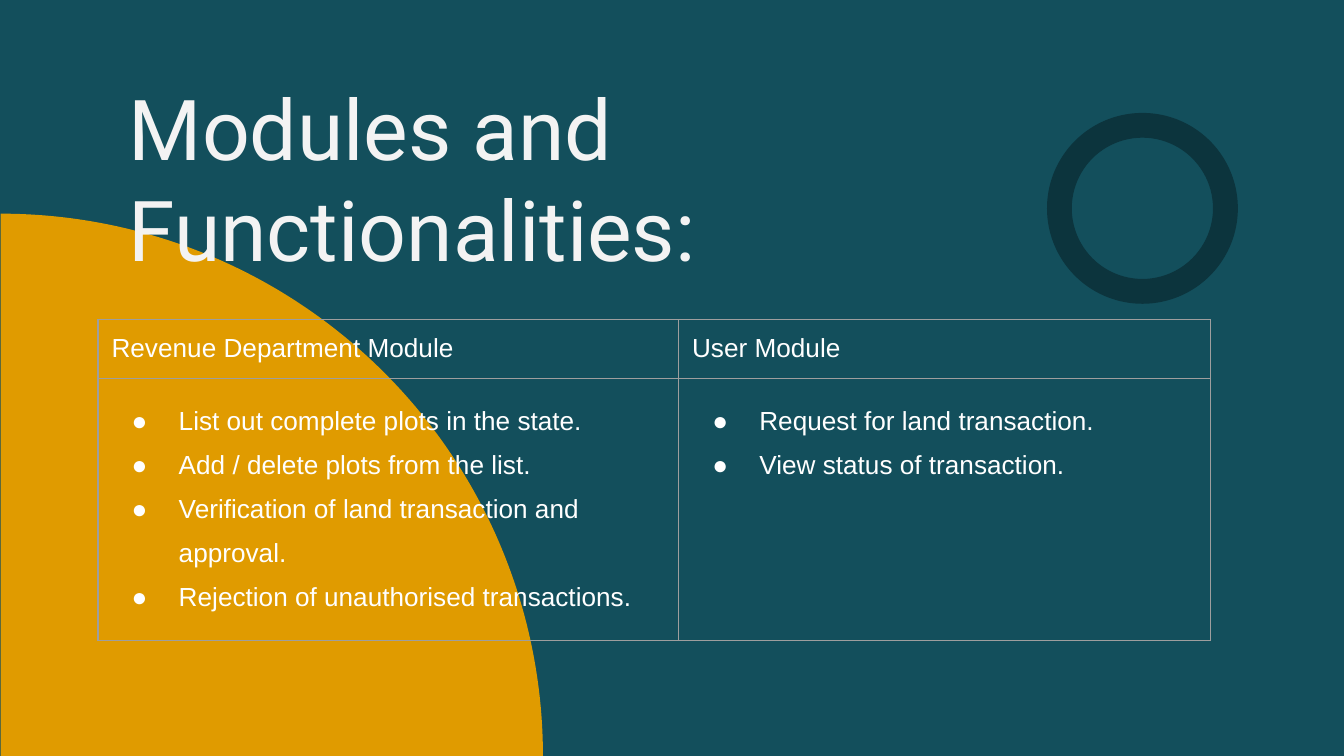
from lxml import etree
from pptx import Presentation
from pptx.dml.color import RGBColor
from pptx.enum import shapes, text
from pptx.oxml import ns
from pptx.util import Inches, Pt

COLORS = {
    "background": "134F5C",
    "sun": "E09B00",
    "ring": "0C343D",
    "title": "F3F3F3",
    "text": "FFFFFF",
    "border": "9E9E9E",
}
TITLE = "Modules and Functionalities:"
MODULES = [
    ("Revenue Department Module", [
        "List out complete plots in the state.",
        "Add / delete plots from the list.",
        "Verification of land transaction and approval.",
        "Rejection of unauthorised transactions.",
    ]),
    ("User Module", [
        "Request for land transaction.",
        "View status of transaction.",
    ]),
]
SLIDE_WIDTH = 10
COLUMN_WIDTHS = [4.32, 3.96]
ROW_COUNT = 2
ROW_HEIGHT = 0.42  # a minimum: rows grow with their text
MARGIN = Inches(0.1)


def color(name):
    return RGBColor.from_string(COLORS[name])


def add_child(parent, tag, **attributes):
    return etree.SubElement(parent, ns.qn(tag), attributes)


def add_color(parent, tag, name):
    add_child(add_child(parent, tag), "a:srgbClr", val=COLORS[name])


def add_decoration(page, kind, left, top, size, fill, adjustments, rotation=0):
    shape = page.shapes.add_shape(
        kind, Inches(left), Inches(top), Inches(size), Inches(size))
    shape.shadow.inherit = False
    shape.fill.solid()
    shape.fill.fore_color.rgb = color(fill)
    shape.line.fill.background()
    shape.rotation = rotation
    for index, value in enumerate(adjustments):
        shape.adjustments[index] = value


def add_span(para, words, size, font, name):
    span = para.add_run()
    span.text = words
    span.font.size = Pt(size)
    span.font.name = font
    span.font.color.rgb = color(name)


def add_title(page):
    box = page.shapes.add_textbox(
        Inches(0.86), Inches(0.45), Inches(7.5), Inches(1.72))
    frame = box.text_frame
    frame.word_wrap = True
    frame.vertical_anchor = text.MSO_ANCHOR.BOTTOM
    frame.margin_left = frame.margin_right = MARGIN
    frame.margin_top = frame.margin_bottom = MARGIN
    add_span(frame.paragraphs[0], TITLE, 45, "Roboto", "title")


def make_bullet(para):
    para.line_spacing = 1.5
    properties = para._p.get_or_add_pPr()
    properties.set("marL", str(Inches(0.5)))
    properties.set("indent", str(Inches(-0.35)))
    add_color(properties, "a:buClr", "text")
    add_child(properties, "a:buSzPts", val="1400")
    add_child(properties, "a:buFont", typeface="Arial")
    add_child(properties, "a:buChar", char="●")


def style_cell(cell):
    """Set margins, thin borders and no fill."""
    cell.margin_left = cell.margin_right = MARGIN
    cell.margin_top = cell.margin_bottom = MARGIN
    properties = cell._tc.get_or_add_tcPr()
    for side in ("L", "R", "T", "B"):
        line = add_child(properties, f"a:ln{side}", w=str(Pt(0.75)))
        add_color(line, "a:solidFill", "border")
    cell.fill.background()


def fill_cell(cell, lines, bulleted):
    style_cell(cell)
    frame = cell.text_frame
    for index, words in enumerate(lines):
        para = frame.add_paragraph() if index else frame.paragraphs[0]
        if bulleted:
            make_bullet(para)
        add_span(para, words, 14, "Arial", "text")


def add_module_table(page):
    table = page.shapes.add_table(
        ROW_COUNT, len(MODULES), Inches(0.73), Inches(2.38),
        Inches(sum(COLUMN_WIDTHS)), Inches(ROW_COUNT * ROW_HEIGHT)).table
    table.first_row = table.horz_banding = False
    for index, (heading, functions) in enumerate(MODULES):
        table.columns[index].width = Inches(COLUMN_WIDTHS[index])
        fill_cell(table.cell(0, index), [heading], bulleted=False)
        fill_cell(table.cell(1, index), functions, bulleted=True)


def main():
    deck = Presentation()
    deck.slide_width = Inches(SLIDE_WIDTH)
    deck.slide_height = Inches(SLIDE_WIDTH * 9 / 16)
    page = deck.slides.add_slide(deck.slide_layouts[6])
    page.background.fill.solid()
    page.background.fill.fore_color.rgb = color("background")

    kinds = shapes.MSO_SHAPE
    # A pie angle of 90 degrees is 54 adjustment units.
    add_decoration(page, kinds.PIE, -4.03, 1.59, 8.07, "sun", [0, 54.26], 270)
    add_decoration(page, kinds.DONUT, 7.79, 0.84, 1.42, "ring", [0.13])
    add_title(page)
    add_module_table(page)
    deck.save("out.pptx")


if __name__ == "__main__":
    main()
